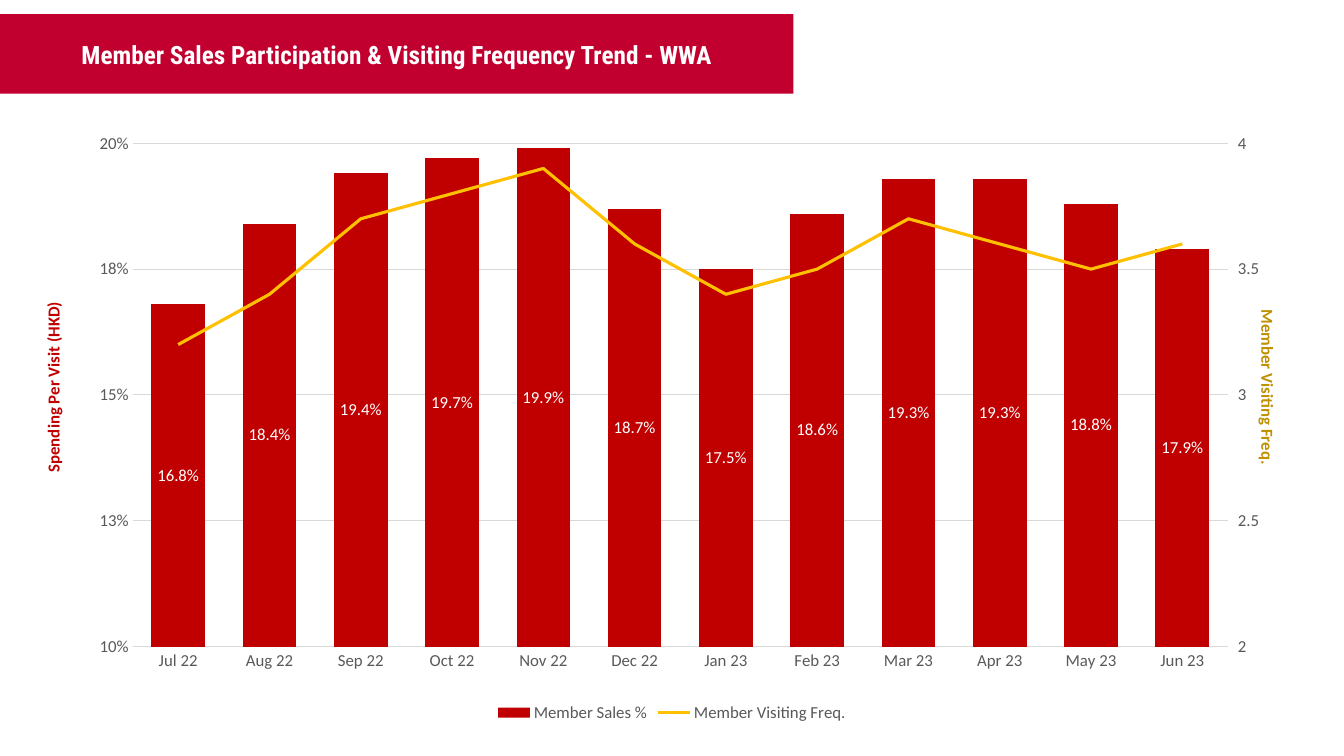
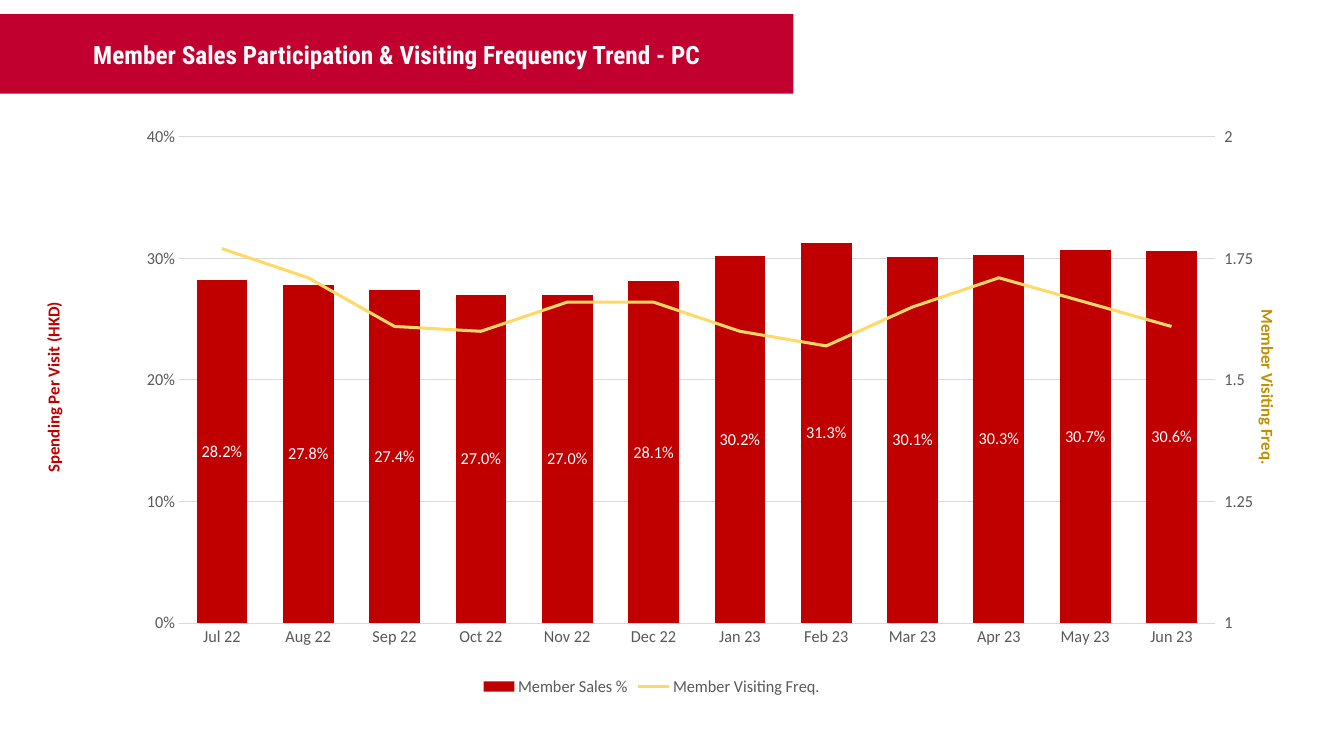
from copy import deepcopy

from pptx import Presentation
from pptx.chart.axis import CategoryAxis, ValueAxis
from pptx.chart.data import CategoryChartData
from pptx.dml.color import RGBColor
from pptx.enum.chart import XL_CHART_TYPE as ChartType
from pptx.enum.chart import XL_LABEL_POSITION as LabelPosition
from pptx.enum.chart import XL_LEGEND_POSITION as LegendPosition
from pptx.enum.chart import XL_MARKER_STYLE as MarkerStyle
from pptx.enum.chart import XL_TICK_MARK as TickMark
from pptx.enum.text import MSO_ANCHOR as Anchor
from pptx.enum.text import MSO_AUTO_SIZE as AutoSize
from pptx.enum.text import PP_ALIGN as Align
from pptx.oxml import parse_xml
from pptx.oxml.ns import nsdecls, qn
from pptx.util import Inches, Pt

# Content
MONTHS = ["Jul 22", "Aug 22", "Sep 22", "Oct 22", "Nov 22", "Dec 22",
          "Jan 23", "Feb 23", "Mar 23", "Apr 23", "May 23", "Jun 23"]
SALES_NAME = "Member Sales %"
VISITS_NAME = "Member Visiting Freq."
TITLE = "Member Sales Participation & Visiting Frequency Trend - {}"

# Scales are (minimum, maximum, major unit); plot is (x, y, w, h) as shares of the chart
PAGES = [
    dict(
        region="WWA", at=(0.76, 1.28, 11.81, 5.93), plot=(0.047, 0.024, 0.92, 0.842),
        sales=[0.168, 0.184, 0.194, 0.197, 0.199, 0.187,
               0.175, 0.186, 0.193, 0.193, 0.188, 0.179],
        visits=[3.2, 3.4, 3.7, 3.8, 3.9, 3.6, 3.4, 3.5, 3.7, 3.6, 3.5, 3.6],
        sales_scale=(0.1, 0.2, 0.025), visits_scale=(2, 4, 0.5), line="gold",
    ),
    dict(
        region="PC", at=(0.88, 1.22, 11.55, 5.73), plot=(0.08, 0.024, 0.92, 0.842),
        sales=[0.282, 0.278, 0.274, 0.27, 0.27, 0.281,
               0.302, 0.313, 0.301, 0.303, 0.307, 0.306],
        visits=[1.77, 1.71, 1.61, 1.6, 1.66, 1.66, 1.6, 1.57, 1.65, 1.71, 1.66, 1.61],
        sales_scale=(0, 0.4, 0.1), visits_scale=(1, 2, 0.25), line="pale_gold",
    ),
]

# Axis captions: text, left, rotation, colour
CAPTIONS = [
    (VISITS_NAME, 9.9, 90, "dark_gold"),
    ("Spending Per Visit (HKD)", -2.15, 270, "red"),
]

# Shared style
COLORS = dict(band="C1002F", red="C00000", gold="FFC000", pale_gold="FFD966",
              dark_gold="BF9000", grey="595959", grid="D9D9D9",
              white="FFFFFF", black="000000")
TITLE_FONT = "Roboto Condensed"
BODY_FONT = "Calibri"


def color(name):
    return RGBColor.from_string(COLORS[name])


def style_font(font, name=BODY_FONT, size=12, ink="grey", bold=False):
    font.name = name
    font.size = Pt(size)
    font.bold = bold
    font.color.rgb = color(ink)


def write_text(box, text, anchor=Anchor.TOP, fit=AutoSize.NONE, wrap=True, **font):
    frame = box.text_frame
    frame.word_wrap = wrap
    frame.auto_size = fit
    frame.vertical_anchor = anchor
    para = frame.paragraphs[0]
    para.alignment = Align.CENTER
    span = para.add_run()
    span.text = text
    style_font(span.font, **font)


def add_title_band(page, text):
    band = page.shapes.title
    band.left, band.top = Inches(0), Inches(0.14)
    band.width, band.height = Inches(7.87), Inches(0.79)
    band.fill.solid()
    band.fill.fore_color.rgb = color("band")
    write_text(band, text, anchor=Anchor.MIDDLE,
               name=TITLE_FONT, size=18, ink="white", bold=True)


def add_caption(page, text, left, rotation, ink):
    box = page.shapes.add_textbox(Inches(left), Inches(3.69), Inches(5.35), Inches(0.3))
    box.rotation = rotation
    write_text(box, text, fit=AutoSize.SHAPE_TO_FIT_TEXT, ink=ink, bold=True)


def set_scale(axis, scale):
    axis.minimum_scale, axis.maximum_scale, axis.major_unit = scale


def set_number_format(target, code):
    target.number_format = code
    target.number_format_is_linked = False


def set_plot_layout(plot_area, shares):
    for old in plot_area.findall(qn("c:layout")):
        plot_area.remove(old)
    sizes = "".join(f'<c:{key} val="{share}"/>' for key, share in zip("xywh", shares))
    plot_area.insert(0, parse_xml(
        f'<c:layout {nsdecls("c")}><c:manualLayout><c:layoutTarget val="inner"/>'
        f'<c:xMode val="edge"/><c:yMode val="edge"/>{sizes}</c:manualLayout></c:layout>'))


def move_to_right_axis(chart, plot_area):
    """Turn the second series into a line with its own axes; return its value axis."""
    bars = plot_area.find(qn("c:barChart"))
    series = bars.findall(qn("c:ser"))[1]
    for flag in series.findall(qn("c:invertIfNegative")):
        series.remove(flag)
    lines = parse_xml(
        f'<c:lineChart {nsdecls("c")}><c:grouping val="stacked"/><c:varyColors val="0"/>'
        '<c:marker val="1"/><c:axId val="5001"/><c:axId val="5002"/></c:lineChart>')
    lines.insert(2, series)
    bars.addnext(lines)

    left = plot_area.find(qn("c:valAx"))
    if left.find(qn("c:crossBetween")) is None:
        left.find(qn("c:crosses")).addnext(
            parse_xml(f'<c:crossBetween {nsdecls("c")} val="between"/>'))
    months = deepcopy(plot_area.find(qn("c:catAx")))
    right = deepcopy(left)
    for axis, own, other in ((months, "5001", "5002"), (right, "5002", "5001")):
        axis.find(qn("c:axId")).set("val", own)
        axis.find(qn("c:crossAx")).set("val", other)
    right.find(qn("c:axPos")).set("val", "r")
    right.find(qn("c:crosses")).set("val", "max")
    left.addnext(right)
    right.addnext(months)
    CategoryAxis(months).visible = False
    return ValueAxis(right)


def add_combined_chart(page, region):
    data = CategoryChartData()
    data.categories = MONTHS
    data.add_series(SALES_NAME, region["sales"], "0.0%")
    data.add_series(VISITS_NAME, region["visits"], "General")
    place = [Inches(length) for length in region["at"]]
    chart = page.shapes.add_chart(ChartType.COLUMN_STACKED, *place, data).chart
    chart.has_title = False
    style_font(chart.font, name="Arial", size=10, ink="black")
    chart.has_legend = True
    chart.legend.position = LegendPosition.BOTTOM
    chart.legend.include_in_layout = False
    style_font(chart.legend.font)

    # Month and left axes
    months, left = chart.category_axis, chart.value_axis
    for axis in (months, left):
        axis.major_tick_mark = axis.minor_tick_mark = TickMark.NONE
        style_font(axis.tick_labels.font)
    months.format.line.color.rgb = color("grid")
    months.format.line.width = Pt(0.75)
    left.format.line.fill.background()
    left.has_major_gridlines = True
    grid = left.major_gridlines.format.line
    grid.color.rgb = color("grid")
    grid.width = Pt(0.75)
    set_number_format(left.tick_labels, "0%")

    # Right axis, then both scales
    plot_area = chart.element.find(".//" + qn("c:plotArea"))
    set_plot_layout(plot_area, region["plot"])
    right = move_to_right_axis(chart, plot_area)
    right.has_major_gridlines = False
    right.major_tick_mark = TickMark.OUTSIDE
    set_number_format(right.tick_labels, "General")
    set_scale(left, region["sales_scale"])
    set_scale(right, region["visits_scale"])

    # Columns with labels
    columns, lines = chart.plots
    columns.gap_width, columns.overlap = 70, 100
    columns.vary_by_categories = False
    sales = columns.series[0]
    sales.format.fill.solid()
    sales.format.fill.fore_color.rgb = color("red")
    labels = sales.data_labels
    labels.show_value = True
    labels.position = LabelPosition.CENTER
    set_number_format(labels, "0.0%")
    style_font(labels.font, ink="white")

    # Line
    visits = lines.series[0]
    visits.smooth = False
    visits.marker.style = MarkerStyle.NONE
    visits.format.line.color.rgb = color(region["line"])
    visits.format.line.width = Pt(2.25)


def main():
    deck = Presentation()
    deck.slide_width, deck.slide_height = Inches(13.33), Inches(7.5)
    title_only = deck.slide_layouts[5]
    for region in PAGES:
        page = deck.slides.add_slide(title_only)
        add_title_band(page, TITLE.format(region["region"]))
        add_combined_chart(page, region)
        for caption in CAPTIONS:
            add_caption(page, *caption)
    deck.save("out.pptx")


if __name__ == "__main__":
    main()
